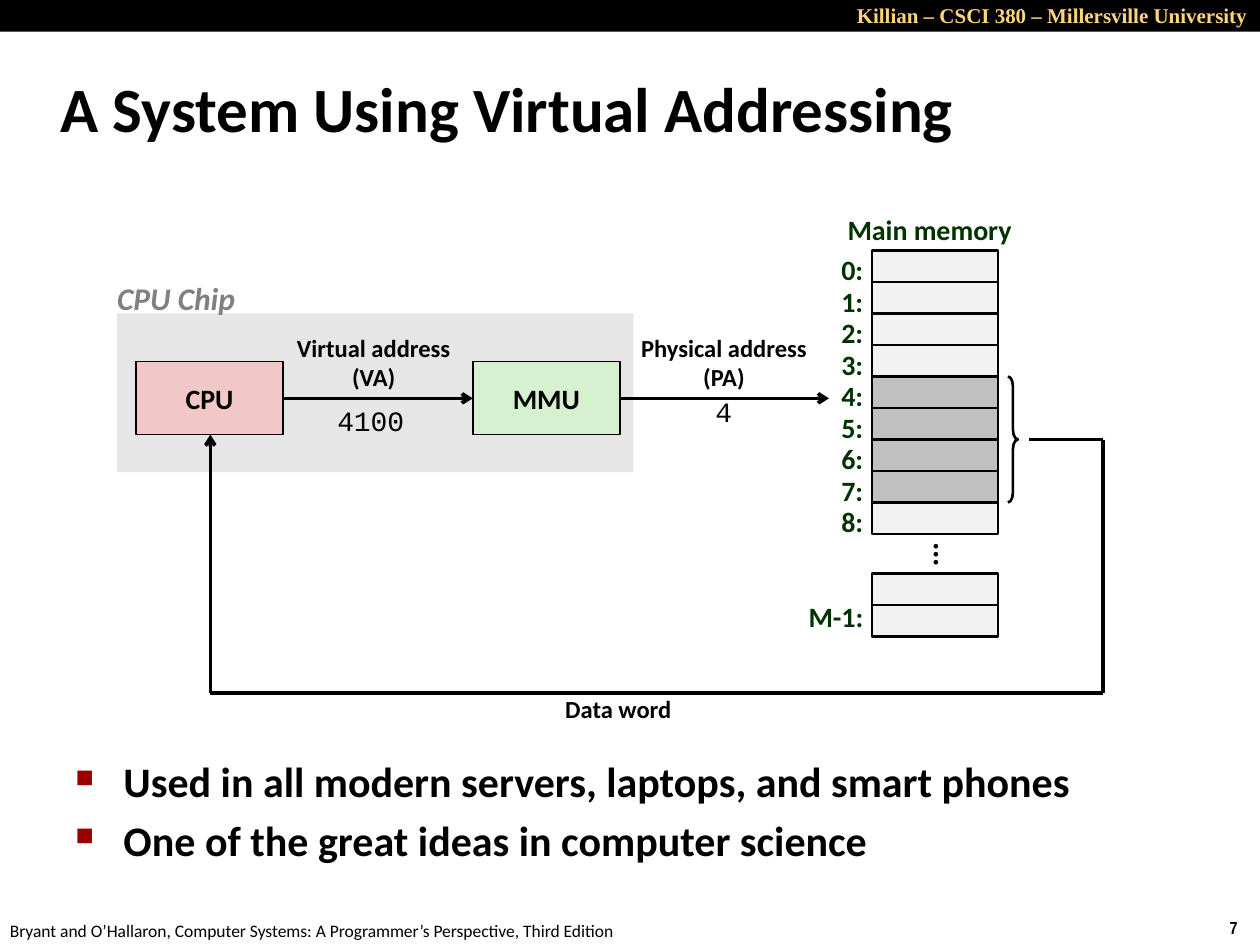
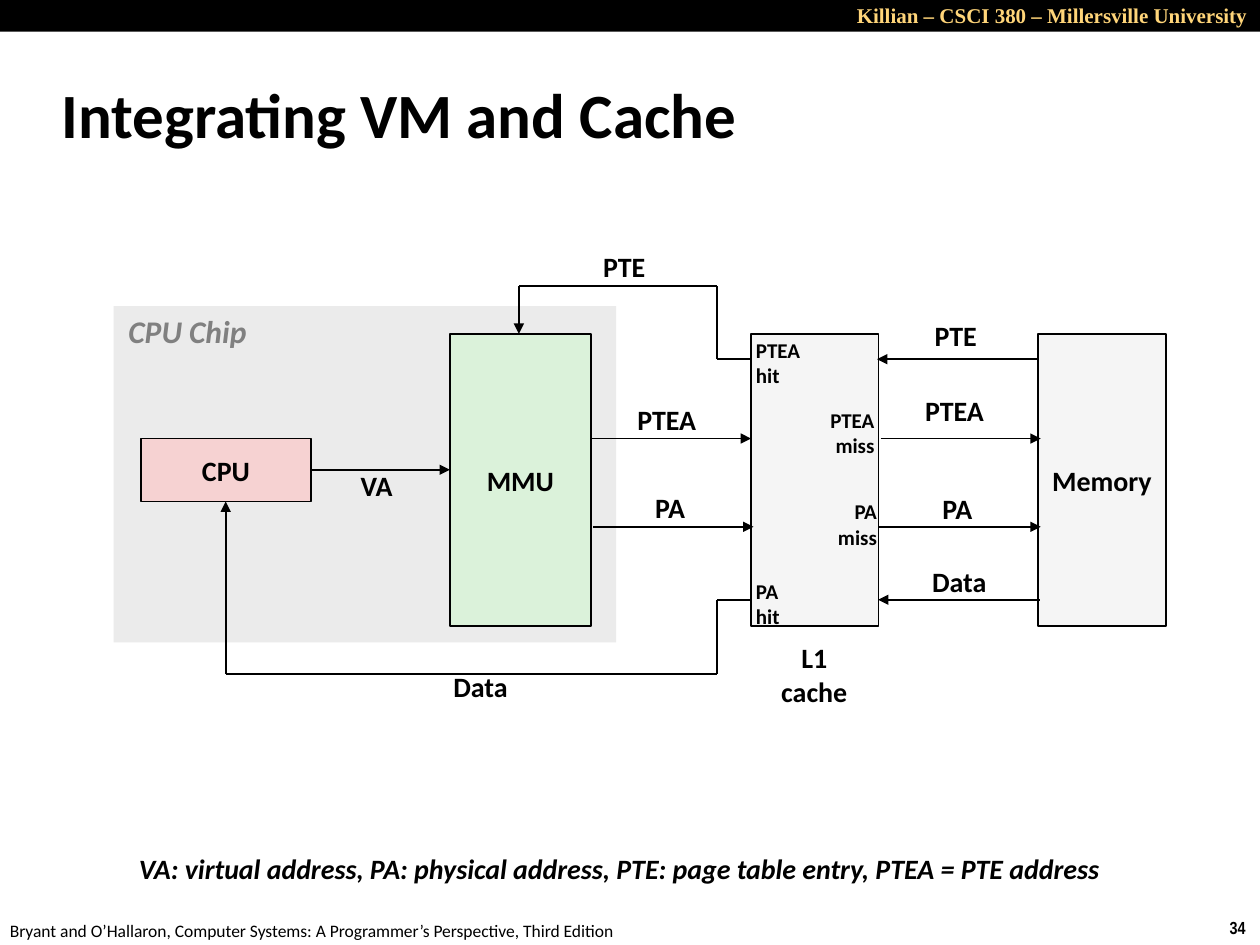
from itertools import pairwise

from lxml import etree
from pptx import Presentation
from pptx.dml.color import RGBColor
from pptx.enum import shapes, text
from pptx.oxml import ns
from pptx.util import Cm, Pt

COLORS = {
    "black": "000000", "gold": "FFD579", "gray": "808080", "green": "003300", "bullet": "990000",
    "chip1": "E6E6E6", "cpu1": "F1C7C7", "mmu1": "D5F1CF", "cell": "F2F2F2", "word": "C0C0C0",
    "chip2": "EBEBEB", "cpu2": "F6D2D2", "mmu2": "DBF2DA", "store": "F5F5F5",
}
LEFT, CENTER, RIGHT = text.PP_ALIGN.LEFT, text.PP_ALIGN.CENTER, text.PP_ALIGN.RIGHT
TOP, MIDDLE = text.MSO_ANCHOR.TOP, text.MSO_ANCHOR.MIDDLE
FIT, FIXED = text.MSO_AUTO_SIZE.SHAPE_TO_FIT_TEXT, text.MSO_AUTO_SIZE.NONE
TIGHT = {"spacing": 0.85, "insets": (0.18, 0.08)}
CAPTION = {"size": 14, "align": CENTER, "anchor": MIDDLE, "spacing": 0.98}
MEMORY = {"color": "green", "spacing": 0.88}
TITLE = {"size": 36, "anchor": MIDDLE, "wrap": True, "fit": FIXED}
CHIP = {"size": 18, "color": "gray", "italic": True}
CODE = {"font": "Courier New", "bold": False}
OUTCOME = {"size": 12, "anchor": MIDDLE}


def rgb(name):
    """Return the named colour."""
    return RGBColor.from_string(COLORS[name])


def apply(target, values):
    """Set each attribute of the target from a dict."""
    for name, value in values.items():
        setattr(target, name, value)


def write(frame, lines, size=16, color="black", font="Calibri", bold=True, italic=False,
          align=LEFT, anchor=TOP, spacing=None, insets=(0.25, 0.13), wrap=False, fit=FIT):
    """Fill a text frame with one paragraph per line and return the paragraphs."""
    side, edge = map(Cm, insets)
    apply(frame, {"word_wrap": wrap, "auto_size": fit, "vertical_anchor": anchor,
                  "margin_left": side, "margin_right": side,
                  "margin_top": edge, "margin_bottom": edge})
    frame.text = lines
    for paragraph in frame.paragraphs:
        apply(paragraph, {"alignment": align, "line_spacing": spacing})
        run = paragraph.runs[0]
        apply(run.font, {"size": Pt(size), "name": font, "bold": bold, "italic": italic})
        run.font.color.rgb = rgb(color)
    return frame.paragraphs


def label(slide, at, lines, **style):
    """Add a text box and return its frame."""
    frame = slide.shapes.add_textbox(*map(Cm, at)).text_frame
    write(frame, lines, **style)
    return frame


def block(slide, at, fill=None, border=0, name="", kind=shapes.MSO_SHAPE.RECTANGLE):
    """Add a preset shape with an optional fill, border and centred name."""
    shape = slide.shapes.add_shape(kind, *map(Cm, at))
    shape.shadow.inherit = False
    if fill:
        shape.fill.solid()
        shape.fill.fore_color.rgb = rgb(fill)
    else:
        shape.fill.background()
    if border:
        shape.line.color.rgb = rgb("black")
        shape.line.width = Pt(border)
    else:
        shape.line.fill.background()
    if name:
        write(shape.text_frame, name, align=CENTER, anchor=MIDDLE, fit=FIXED)
    return shape


def route(slide, points, width, arrow):
    """Draw straight segments through the points, with an arrowhead at the last one."""
    for start, end in pairwise(points):
        segment = slide.shapes.add_connector(shapes.MSO_CONNECTOR.STRAIGHT, *map(Cm, start + end))
        segment.line.color.rgb = rgb("black")
        segment.line.width = Pt(width)
        if end == points[-1]:
            etree.SubElement(segment.line._get_or_add_ln(), ns.qn("a:tailEnd"), type=arrow)
        etree.SubElement(segment._element.spPr, ns.qn("a:effectLst"))


def bullets(slide, at, lines):
    """Add a list with small square bullets."""
    frame = label(slide, at, lines, size=24, wrap=True, fit=FIXED)
    for position, paragraph in enumerate(frame.paragraphs):
        properties = paragraph._p.get_or_add_pPr()
        properties.set("marL", str(Cm(0.97)))
        properties.set("indent", str(-Cm(0.97)))
        if position:
            paragraph.space_before = Pt(4.8)
        tint = etree.SubElement(properties, ns.qn("a:buClr"))
        etree.SubElement(tint, ns.qn("a:srgbClr"), val=COLORS["bullet"])
        etree.SubElement(properties, ns.qn("a:buSzPct"), val="60000")
        etree.SubElement(properties, ns.qn("a:buChar"), char="■")


def new_slide(deck, number):
    """Add a blank slide with the course band and the footer."""
    slide = deck.slides.add_slide(deck.slide_layouts[6])
    label(slide, (24.54, 18.36, 0.86, 0.69), number, size=10, font="Arial Narrow")
    label(slide, (-0.05, 18.42, 12.9, 0.69),
          "Bryant and O’Hallaron, Computer Systems: A Programmer’s Perspective, Third Edition",
          size=10, bold=False)
    block(slide, (0, 0, 25.4, 0.64), "black")
    label(slide, (16.99, -0.08, 8.41, 0.76), "Killian – CSCI 380 – Millersville University",
          size=12, font="Times New Roman", color="gold", align=RIGHT, wrap=True)
    return slide


def main_memory(slide):
    """Draw the memory column with its addresses, ellipsis and word brace."""
    left, top, width, height = 17.58, 5.05, 2.54, 0.635
    label(slide, (16.81, 4.24, 3.86, 0.84), "Main memory", align=CENTER, **MEMORY)
    for address in range(9):
        row = top + address * height
        block(slide, (left, row, width, height), "word" if 4 <= address <= 7 else "cell", 1.5)
        label(slide, (16.71, row, 0.94, 0.84), f"{address}:", **MEMORY)
    for row in (11.56, 11.56 + height):
        block(slide, (left, row, width, height), "cell", 1.5)
    label(slide, (16.05, 12.04, 1.63, 0.84), "M-1:", **MEMORY)

    ellipsis = label(slide, (17.78, 10.8, 2.54, 0.64), "...", size=18, align=CENTER,
                     anchor=MIDDLE, spacing=0.98, fit=FIXED)
    ellipsis._txBody.bodyPr.set("vert", "eaVert")
    ellipsis.paragraphs[0]._p.get_or_add_pPr().set("rtl", "1")

    brace = block(slide, (20.32, 7.59, 0.2, 2.54), border=1.5, kind=shapes.MSO_SHAPE.RIGHT_BRACE)
    brace.adjustments[0] = 1


def virtual_addressing(deck):
    """Build the slide on a system using virtual addressing."""
    slide = new_slide(deck, "7")
    block(slide, (2.36, 6.32, 10.41, 3.2), "chip1")
    label(slide, (0.97, 1.07, 24.21, 2.18), "A System Using Virtual Addressing", **TITLE)
    bullets(slide, (1.27, 15.11, 23.09, 3.51),
            "Used in all modern servers, laptops, and smart phones\n"
            "One of the great ideas in computer science")
    main_memory(slide)
    for left, fill, name in ((2.74, "cpu1", "CPU"), (9.53, "mmu1", "MMU")):
        block(slide, (left, 7.29, 2.97, 1.47), fill, 1, name)
    for points in (
        [(5.72, 8.03), (9.53, 8.03)],
        [(12.5, 8.03), (16.71, 8.03)],
        [(20.75, 8.86), (22.23, 8.86), (22.23, 13.97), (4.24, 13.97), (4.24, 8.76)],
    ):
        route(slide, points, 2, "arrow")
    for at, lines, style in (
        ((5.72, 6.6, 3.63, 1.45), "Virtual address\n(VA)", CAPTION),
        ((12.65, 6.6, 3.89, 1.45), "Physical address\n(PA)", CAPTION),
        ((11.13, 13.89, 2.67, 0.84), "Data word", CAPTION),
        ((2.11, 5.49, 2.95, 1.02), "CPU Chip", CHIP),
        ((14.17, 7.82, 0.86, 0.94), "4", CODE),
        ((6.55, 8, 1.88, 0.94), "4100", CODE),
    ):
        label(slide, at, lines, **style)


def vm_and_cache(deck):
    """Build the slide on integrating virtual memory and cache."""
    slide = new_slide(deck, "34")
    block(slide, (2.29, 6.17, 10.13, 6.78), "chip2")
    label(slide, (0.99, 1.22, 21.08, 2.11), "Integrating VM and Cache", **TITLE)
    block(slide, (2.84, 8.84, 3.43, 1.27), "cpu2", 1, "CPU")
    for left, width, fill, name in (
        (9.07, 2.84, "mmu2", "MMU"), (15.14, 2.57, "store", ""), (20.93, 2.57, "store", "Memory"),
    ):
        block(slide, (left, 6.73, width, 5.89), fill, 1, name)
    for start, end, y in (
        (6.27, 9.07, 9.47), (11.91, 15.14, 8.84), (11.96, 15.19, 10.62), (17.75, 20.98, 8.84),
        (17.7, 20.98, 10.62), (20.96, 17.7, 12.09), (20.93, 17.68, 7.24),
    ):
        route(slide, [(start, y), (end, y)], 1, "triangle")
    for cache_y, turn_y, target_x, target_y in (
        (7.24, 5.77, 10.46, 6.73), (12.09, 13.59, 4.55, 10.11),
    ):
        route(slide, [(15.14, cache_y), (14.45, cache_y), (14.45, turn_y),
                      (target_x, turn_y), (target_x, target_y)], 1, "triangle")
    for left, top, width, signal in (
        (7.09, 9.47, 1.07, "VA"), (12.67, 8.13, 1.57, "PTEA"),
        (13.03, 9.91, 0.97, "PA"), (18.47, 7.95, 1.57, "PTEA"),
    ):
        label(slide, (left, top, width, 0.74), signal, **TIGHT)
    for left, top, width, signal in (
        (11.91, 4.9, 1.37, "PTE"), (8.89, 13.36, 1.63, "Data"), (18.75, 9.78, 1.12, "PA"),
        (18.54, 11.25, 1.63, "Data"), (18.59, 6.3, 1.37, "PTE"),
    ):
        label(slide, (left, top, width, 0.94), signal, anchor=MIDDLE)
    for left, top, width, outcome, align in (
        (14.99, 6.68, 1.4, "PTEA\nhit", LEFT), (16.48, 8.08, 1.4, "PTEA\nmiss", RIGHT),
        (16.61, 9.93, 1.32, "PA\nmiss", RIGHT), (14.99, 11.53, 0.99, "PA\nhit", LEFT),
    ):
        label(slide, (left, top, width, 1.27), outcome, align=align, **OUTCOME)
    label(slide, (15.49, 12.78, 1.85, 1.63), "L1\ncache", align=CENTER, anchor=MIDDLE)
    label(slide, (2.34, 6.17, 3.07, 1.02), "CPU Chip", **CHIP)
    label(slide, (2.62, 17.2, 20.12, 0.74),
          "VA: virtual address, PA: physical address, PTE: page table entry, PTEA = PTE address",
          italic=True, **TIGHT)


def main():
    """Build and save the deck."""
    deck = Presentation()
    apply(deck, {"slide_width": Cm(25.4), "slide_height": Cm(19.05)})
    virtual_addressing(deck)
    vm_and_cache(deck)
    deck.save("out.pptx")


if __name__ == "__main__":
    main()
